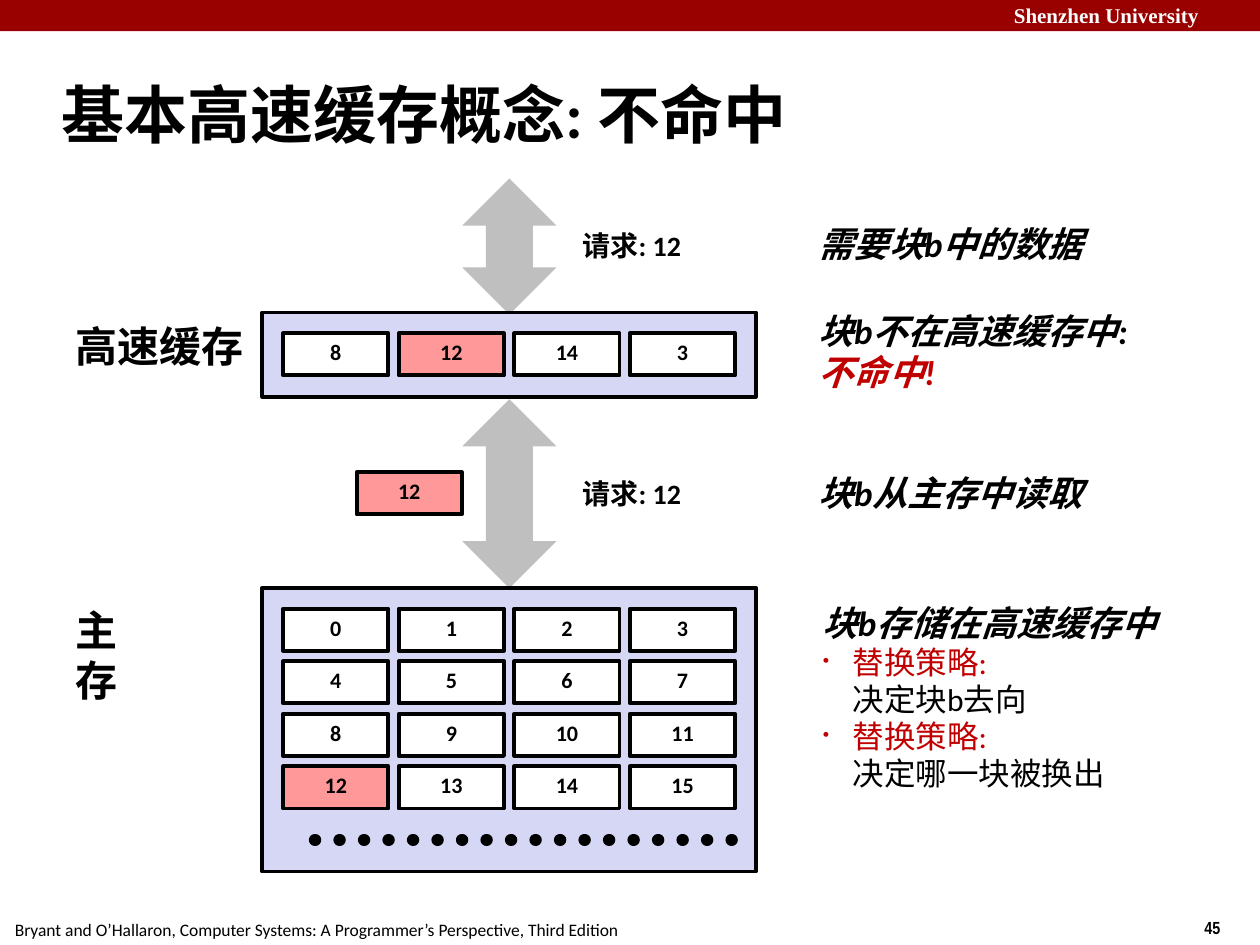
from dataclasses import dataclass

from lxml import etree
from pptx import Presentation
from pptx import util as u
from pptx.dml.color import RGBColor
from pptx.enum import shapes, text
from pptx.oxml.ns import qn


@dataclass(frozen=True)
class Theme:
    face: str = "Calibri"
    serif: str = "Times New Roman"
    narrow: str = "Arial Narrow"
    black: str = "000000"
    white: str = "FFFFFF"
    bar: str = "990000"
    red: str = "C00000"
    grey: str = "BFBFBF"
    panel: str = "D6D6F5"
    pink: str = "FF9999"
    title: float = 36
    label: float = 24
    note: float = 20
    item: float = 18
    ask: float = 16
    cell: float = 12.6
    head: float = 12
    foot: float = 10
    edge: float = 2.25
    dots: float = 7


T = Theme()
CELL_W, CELL_H = 2.12, 0.85
STEP_X, STEP_Y = 2.33, 1.06
PAD = 0.42


def write(frame, lines, size, color=T.black, bold=True, slant=False, face=T.face,
          align=text.PP_ALIGN.LEFT, space=None, anchor=text.MSO_ANCHOR.TOP, wrap=False):
    frame.word_wrap = wrap
    frame.vertical_anchor = anchor
    for n, line in enumerate(lines):
        para = frame.paragraphs[0] if n == 0 else frame.add_paragraph()
        para.alignment = align
        if space:
            para.line_spacing = space
        words, tint = line if isinstance(line, tuple) else (line, color)
        add_run(para, words, size, tint, bold, slant, face)


def add_run(para, words, size, color, bold=False, slant=False, face=T.face):
    run = para.add_run()
    run.text = words
    font = run.font
    font.name, font.size = face, u.Pt(size)
    font.bold, font.italic = bold, slant
    font.color.rgb = RGBColor.from_string(color)


def add_text(slide, box, lines, size, **form):
    label = slide.shapes.add_textbox(*map(u.Cm, box))
    write(label.text_frame, lines, size, **form)
    return label


def add_box(slide, box, fill, kind=shapes.MSO_SHAPE.RECTANGLE, edge=True):
    shape = slide.shapes.add_shape(kind, *map(u.Cm, box))
    shape.shadow.inherit = False
    shape.fill.solid()
    shape.fill.fore_color.rgb = RGBColor.from_string(fill)
    if edge:
        shape.line.color.rgb = RGBColor.from_string(T.black)
        shape.line.width = u.Pt(T.edge)
    else:
        shape.line.fill.background()
    return shape


def add_cell(slide, x, y, word, hot=False):
    cell = add_box(slide, (x, y, CELL_W, CELL_H), T.pink if hot else T.white)
    write(cell.text_frame, [word], T.cell, align=text.PP_ALIGN.CENTER,
          space=0.8, anchor=text.MSO_ANCHOR.MIDDLE, wrap=True)


def add_panel(slide, box, rows):
    add_box(slide, box, T.panel)
    for r, row in enumerate(rows):
        for c, num in enumerate(row):
            add_cell(slide, box[0] + PAD + c * STEP_X, box[1] + PAD + r * STEP_Y,
                     str(num), hot=num == 12)


def add_dots(slide, x, y, width):
    line = slide.shapes.add_connector(shapes.MSO_CONNECTOR.STRAIGHT,
                                      *map(u.Cm, (x, y, x + width, y)))
    line.line.width = u.Pt(T.dots)
    line.line.color.rgb = RGBColor.from_string(T.black)
    props = line.element.spPr
    stroke = props.find(qn("a:ln"))
    stroke.set("cap", "rnd")
    etree.SubElement(stroke, qn("a:prstDash")).set("val", "sysDot")
    etree.SubElement(props, qn("a:effectLst"))


def add_link(slide, box):
    x, y, w, h = box
    add_box(slide, box, T.grey, shapes.MSO_SHAPE.UP_DOWN_ARROW, edge=False)
    add_text(slide, (x + 2.11, y + h / 2 - 0.48, 2.62, 0.94), ["请求: 12"], T.ask,
             align=text.PP_ALIGN.CENTER)


def add_note(slide, box, lines):
    return add_text(slide, box, lines, T.note, slant=True, space=0.98,
                    anchor=text.MSO_ANCHOR.MIDDLE)


def add_item(frame, head, body):
    para = frame.add_paragraph()
    para.line_spacing = 0.98
    props = para._p.get_or_add_pPr()
    props.set("marL", str(u.Cm(0.6)))
    props.set("indent", str(-u.Cm(0.6)))
    tint = etree.SubElement(props, qn("a:buClr"))
    etree.SubElement(tint, qn("a:srgbClr")).set("val", T.red)
    etree.SubElement(props, qn("a:buSzPct")).set("val", "60000")
    etree.SubElement(props, qn("a:buChar")).set("char", "•")
    add_run(para, head, T.item, T.red)
    para.add_line_break()
    add_run(para, body, T.item, T.black)


def add_frame(slide, wide, high):
    add_box(slide, (0, 0, wide, 0.63), T.bar, edge=False)
    add_text(slide, (20.19, -0.08, 5.38, 0.76), ["Shenzhen University"], T.head,
             color=T.white, face=T.serif, wrap=True)
    add_text(slide, (24.03, high - 0.69, 1.9, 0.69), ["45"], T.foot, face=T.narrow, wrap=True)
    add_text(slide, (0.05, high - 0.64, 12.73, 0.69),
             ["Bryant and O’Hallaron, Computer Systems: A Programmer’s Perspective, Third Edition"],
             T.foot, bold=False)
    add_text(slide, (0.99, 1.24, 21.08, 2.11), ["基本高速缓存概念: 不命中"], T.title,
             anchor=text.MSO_ANCHOR.MIDDLE, wrap=True)


def add_chart(slide, x, y):
    mid = x + 4.03
    add_link(slide, (mid, y, 1.9, 2.74))
    add_link(slide, (mid, y + 4.45, 1.9, 3.81))
    add_panel(slide, (x, y + 8.25, 9.95, 5.72),
              [range(n, n + 4) for n in range(0, 16, 4)])
    add_panel(slide, (x, y + 2.7, 9.95, 1.7), [(8, 12, 14, 3)])
    add_dots(slide, x + 1.06, y + 13.33, 8.47)
    add_cell(slide, x + 1.9, y + 5.92, "12", hot=True)
    add_text(slide, (x - 4.02, y + 2.74, 3.89, 1.27), ["高速缓存"], T.label)
    add_text(slide, (x - 4.02, y + 8.46, 2.18, 1.27), ["主存"], T.label)


def add_notes(slide, x, y):
    add_note(slide, (x, y, 6.17, 1.09), ["需要块b中的数据"])
    add_note(slide, (x, y + 1.75, 7.24, 1.93), ["块b不在高速缓存中:", ("不命中!", T.red)])
    add_note(slide, (x, y + 5.03, 6.17, 1.09), ["块b从主存中读取"])
    last = add_note(slide, (x + 0.08, y + 7.65, 7.57, 4.09), ["块b存储在高速缓存中"])
    for body in ("决定块b去向", "决定哪一块被换出"):
        add_item(last.text_frame, "替换策略:", body)


def main():
    deck = Presentation()
    wide, high = 25.4, 19.05
    deck.slide_width, deck.slide_height = u.Cm(wide), u.Cm(high)
    slide = deck.slides.add_slide(deck.slide_layouts[6])
    add_frame(slide, wide, high)
    add_chart(slide, 5.29, 3.6)
    add_notes(slide, 16.26, 4.39)
    deck.save("out.pptx")


if __name__ == "__main__":
    main()
